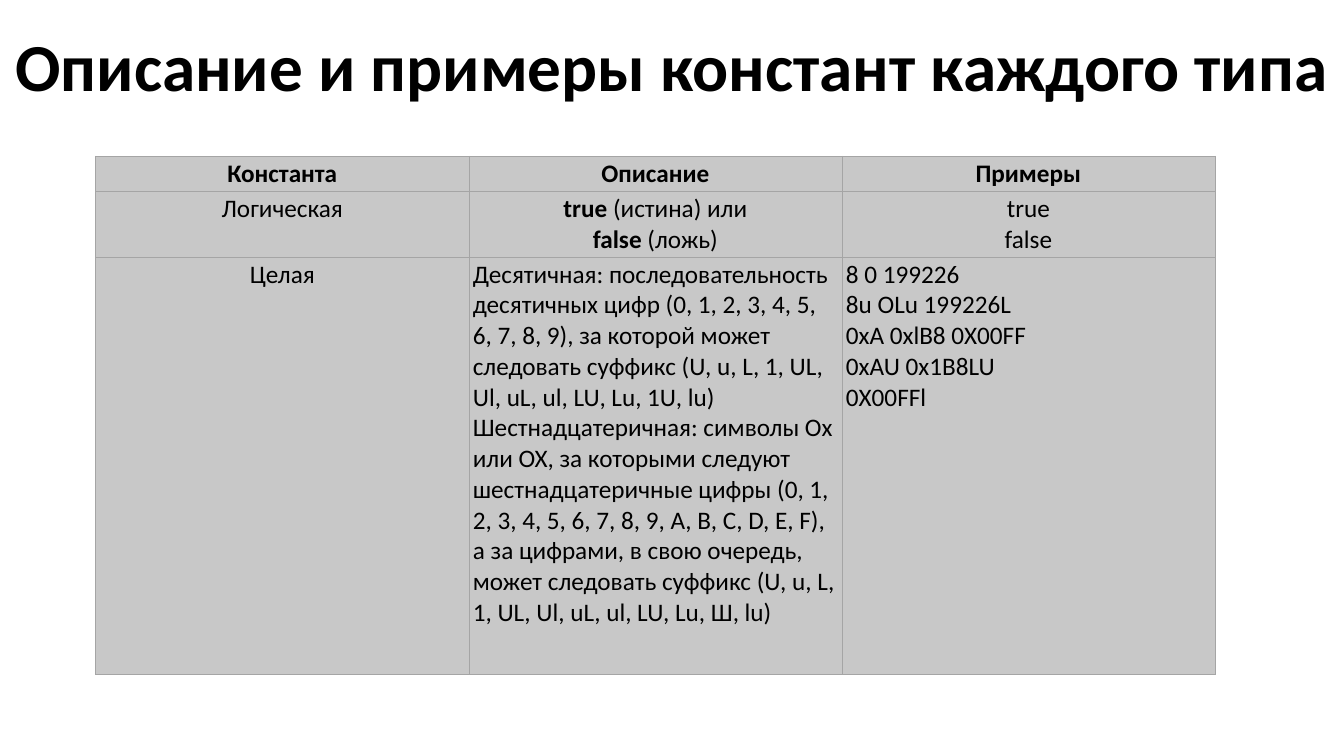
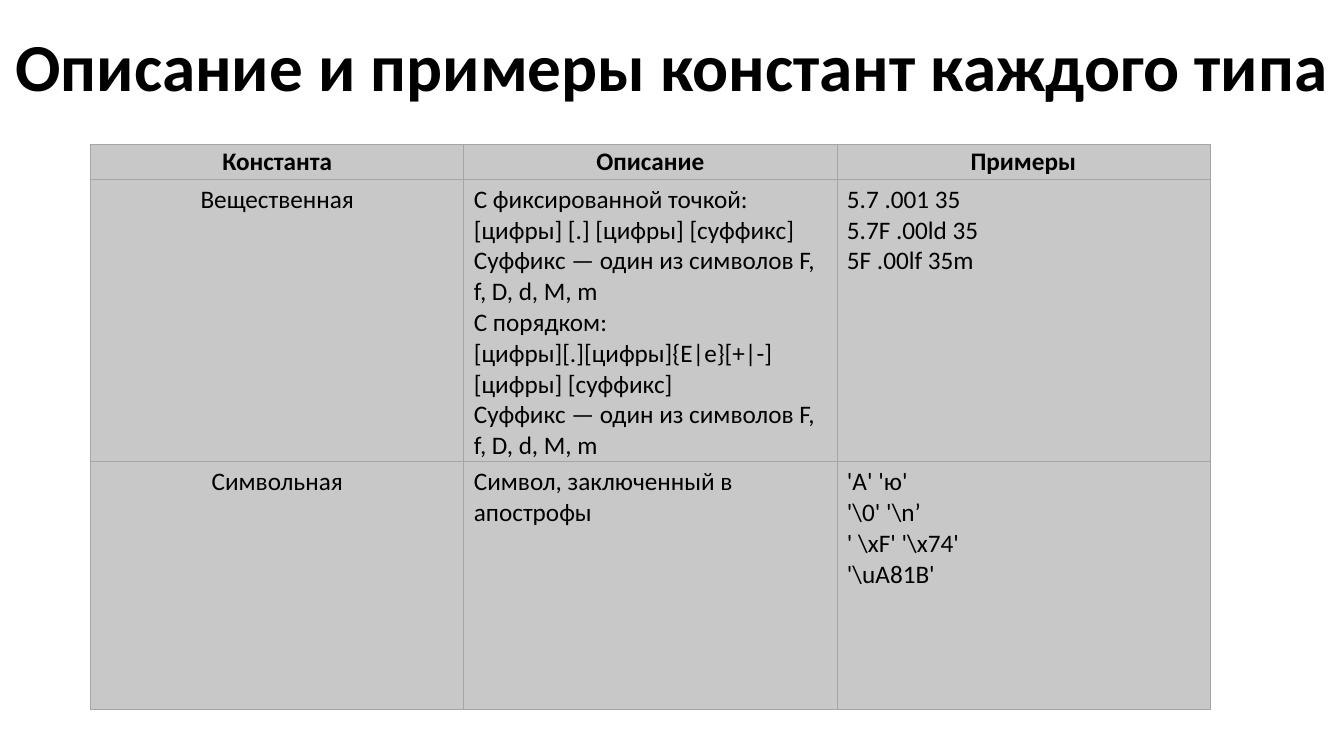
"""Build two slides with tables of constant types, descriptions and examples."""
import pptx
import pptx.dml.color
import pptx.enum.text
import pptx.oxml
import pptx.oxml.ns
import pptx.util
from pptx.util import Inches

COLOURS = {"text": "000000", "cell": "C8C8C8", "border": "A5A5A5"}
FONT = "Calibri"
TITLE = "Описание и примеры констант каждого типа"
HEADER = (["Константа"], ["Описание"], ["Примеры"])
COLUMN_WIDTH = 3.7
TIGHT = (0.04, 0.02)
NORMAL = (0.1, 0.05)
CENTER = pptx.enum.text.PP_ALIGN.CENTER
LEFT = pptx.enum.text.PP_ALIGN.LEFT

TABLES = [
    {
        "position": (0.95, 1.55),
        "row_heights": (0.35, 0.65, 4.14),
        "body_margins": TIGHT,
        "centered_rows": (0, 1),
        "rows": [
            (
                ["Логическая"],
                ["**true** (истина) или", "**false** (ложь)"],
                ["true", "false"],
            ),
            (
                ["Целая"],
                [
                    "Десятичная: последовательность",
                    "десятичных цифр (0, 1, 2, 3, 4, 5, 6, 7, 8, 9), за которой может "
                    "следовать суффикс (U, u, L, 1, UL, Ul, uL, ul, LU, Lu, 1U, lu)",
                    "Шестнадцатеричная: символы Ox или OX, за которыми следуют "
                    "шестнадцатеричные цифры (0, 1, 2, 3, 4, 5, 6, 7, 8, 9, А, В, С, D, Е, F), "
                    "а за цифрами, в свою очередь, может следовать суффикс "
                    "(U, u, L, 1, UL, Ul, uL, ul, LU, Lu, Ш, lu)",
                ],
                ["8 0 199226", "8u OLu 199226L", "0xA 0xlB8 0X00FF", "0xAU 0x1B8LU", "0X00FFl"],
            ),
        ],
    },
    {
        "position": (0.9, 1.43),
        "row_heights": (0.35, 2.8, 2.46),
        "body_margins": NORMAL,
        "centered_rows": (0,),
        "rows": [
            (
                ["Вещественная"],
                [
                    "С фиксированной точкой:",
                    "[цифры] [.] [цифры] [суффикс]",
                    "Суффикс — один из символов F, f, D, d, М, m",
                    "С порядком:",
                    "[цифры][.][цифры]{Е|е}[+|-] [цифры] [суффикс]",
                    "Суффикс — один из символов F, f, D, d, М, m",
                ],
                ["5.7 .001 35", "5.7F .00ld 35", "5F .00lf 35m"],
            ),
            (
                ["Символьная"],
                ["Символ, заключенный в апострофы"],
                ["'A' 'ю'", r"'\0' '\n’", r"' \xF' '\x74'", r"'\uA81B'"],
            ),
        ],
    },
]


def colour(name):
    return pptx.dml.color.RGBColor.from_string(COLOURS[name])


def write_paragraph(paragraph, text, size, bold, alignment):
    paragraph.alignment = alignment
    for index, part in enumerate(text.split("**")):
        if part:
            run = paragraph.add_run()
            run.text = part
            run.font.name = FONT
            run.font.size = pptx.util.Pt(size)
            run.font.bold = bold or index % 2 == 1
            run.font.color.rgb = colour("text")


def write_lines(text_frame, lines, size, bold, alignment):
    for index, line in enumerate(lines):
        paragraph = text_frame.add_paragraph() if index else text_frame.paragraphs[0]
        write_paragraph(paragraph, line, size, bold, alignment)


def style_cell(cell, margins):
    cell.margin_left = cell.margin_right = Inches(margins[0])
    cell.margin_top = cell.margin_bottom = Inches(margins[1])
    properties = cell._tc.get_or_add_tcPr()
    for side in ("lnL", "lnR", "lnT", "lnB"):
        properties.append(pptx.oxml.parse_xml(
            f'<a:{side} {pptx.oxml.ns.nsdecls("a")} w="{pptx.util.Pt(0.5)}"><a:solidFill>'
            f'<a:srgbClr val="{COLOURS["border"]}"/></a:solidFill></a:{side}>'
        ))
    cell.fill.solid()
    cell.fill.fore_color.rgb = colour("cell")


def add_title(slide):
    shape = slide.shapes.add_textbox(0, Inches(0.19), Inches(13.33), Inches(0.91))
    shape.text_frame.word_wrap = True
    shape.text_frame.auto_size = pptx.enum.text.MSO_AUTO_SIZE.SHAPE_TO_FIT_TEXT
    write_lines(shape.text_frame, [TITLE], 48, True, CENTER)


def add_constants_table(slide, content):
    rows = [HEADER, *content["rows"]]
    heights = content["row_heights"]
    left, top = content["position"]
    table = slide.shapes.add_table(
        len(rows), len(HEADER), Inches(left), Inches(top),
        Inches(COLUMN_WIDTH * len(HEADER)), Inches(sum(heights)),
    ).table
    table.horz_banding = False
    for column in table.columns:
        column.width = Inches(COLUMN_WIDTH)
    for row_index, row in enumerate(rows):
        table.rows[row_index].height = Inches(heights[row_index])
        is_header = row_index == 0
        for column_index, lines in enumerate(row):
            cell = table.cell(row_index, column_index)
            style_cell(cell, TIGHT if is_header else content["body_margins"])
            centered = column_index == 0 or row_index in content["centered_rows"]
            write_lines(cell.text_frame, lines, 18, is_header, CENTER if centered else LEFT)


def main():
    presentation = pptx.Presentation()
    presentation.slide_width = Inches(13.33)
    presentation.slide_height = Inches(7.5)
    for content in TABLES:
        slide = presentation.slides.add_slide(presentation.slide_layouts[6])
        add_title(slide)
        add_constants_table(slide, content)
    presentation.save("out.pptx")


if __name__ == "__main__":
    main()
